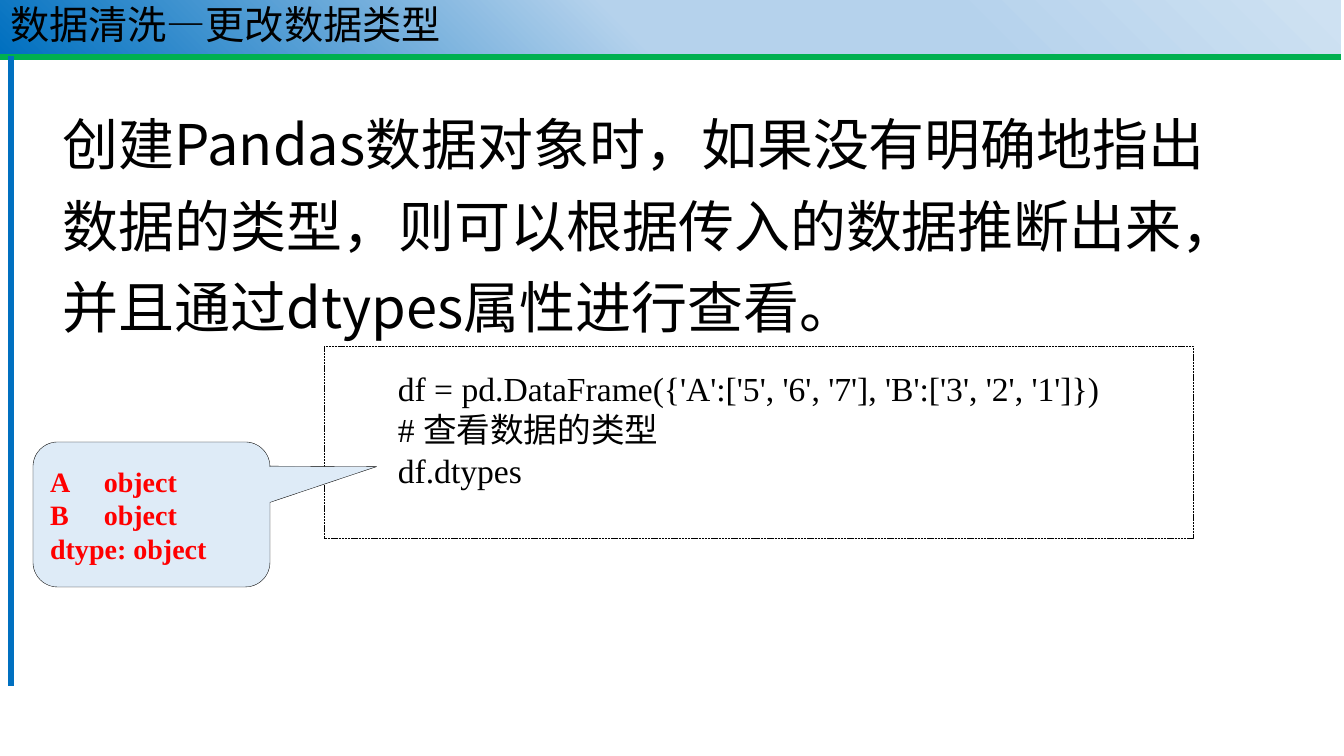
import dataclasses

import lxml.etree
import pptx
import pptx.dml.color
import pptx.enum.dml
import pptx.enum.shapes
import pptx.enum.text
import pptx.oxml
import pptx.oxml.ns
import pptx.util

EMU_PER_PX = 914400 / 100.8
NS = pptx.oxml.ns.nsdecls("a")
SHAPE = pptx.enum.shapes.MSO_SHAPE
ANCHOR = pptx.enum.text.MSO_ANCHOR


@dataclasses.dataclass(frozen=True)
class Theme:
    black: str = "000000"
    red: str = "FF0000"
    green: str = "00B050"
    blue: str = "0070C0"
    callout: str = "DEEBF7"
    banner: tuple = ((1, "CEE1F2"), (29, "B5D2EC"), (53, "B5D2EC"), (100, "0070C0"))
    sans: str = "Noto Sans CJK SC"
    serif: str = "Times New Roman"
    title_size: int = 28
    body_size: int = 40
    code_size: int = 24
    output_size: int = 20


THEME = Theme()


def px(*values):
    return [pptx.util.Emu(round(v * EMU_PER_PX)) for v in values]


def rgb(color):
    return pptx.dml.color.RGBColor.from_string(color)


def write(tf, lines, font, size, color, spacing, bold=False):
    tf.word_wrap = True
    tf.auto_size = pptx.enum.text.MSO_AUTO_SIZE.NONE
    for i, line in enumerate(lines):
        p = tf.paragraphs[0] if i == 0 else tf.add_paragraph()
        r = p.add_run()
        r.text = line
        p.alignment = pptx.enum.text.PP_ALIGN.LEFT
        p.line_spacing = spacing
        p.space_before = pptx.util.Pt(0)
        p.font.name = font
        p.font.size = pptx.util.Pt(size)
        p.font.bold = bold
        p.font.color.rgb = rgb(color)
        ea = lxml.etree.SubElement(r.font._element, pptx.oxml.ns.qn("a:ea"))
        ea.set("typeface", THEME.sans)


def add_rule(s, ends, color, width):
    line = s.shapes.add_connector(pptx.enum.shapes.MSO_CONNECTOR.STRAIGHT, *px(*ends))
    line.line.color.rgb = rgb(color)
    line.line.width = pptx.util.Pt(width)
    line._element.spPr.append(pptx.oxml.parse_xml(f"<a:effectLst {NS}/>"))


def add_title(s, box, text):
    title = s.shapes.title
    title.left, title.top, title.width, title.height = px(*box)
    stops = "".join(
        f'<a:gs pos="{pos * 1000}"><a:srgbClr val="{color}"/></a:gs>'
        for pos, color in THEME.banner
    )
    title._element.spPr.append(pptx.oxml.parse_xml(
        f'<a:gradFill {NS} rotWithShape="1"><a:gsLst>{stops}</a:gsLst>'
        '<a:lin ang="8100000" scaled="0"/></a:gradFill>'
    ))
    title.text_frame.vertical_anchor = ANCHOR.MIDDLE
    write(title.text_frame, [text], THEME.sans, THEME.title_size, THEME.black, 0.9)
    title._element.getparent().append(title._element)


def add_text(s, box, lines, font, size, spacing, margin_top=5):
    tf = s.shapes.add_textbox(*px(*box)).text_frame
    tf.margin_top = px(margin_top)[0]
    write(tf, lines, font, size, THEME.black, pptx.util.Pt(spacing))


def add_outlined(s, kind, box, width, fill=None, dash=None):
    sp = s.shapes.add_shape(kind, *px(*box))
    sp.shadow.inherit = False
    if fill:
        sp.fill.solid()
        sp.fill.fore_color.rgb = rgb(fill)
    else:
        sp.fill.background()
    sp.line.color.rgb = rgb(THEME.black)
    sp.line.width = pptx.util.Pt(width)
    if dash:
        sp.line.dash_style = dash
    return sp


def add_callout(s, box, adjustments, lines):
    sp = add_outlined(s, SHAPE.ROUNDED_RECTANGULAR_CALLOUT, box, 0.25, THEME.callout)
    for i, value in enumerate(adjustments):
        sp.adjustments[i] = value
    sp.text_frame.vertical_anchor = ANCHOR.MIDDLE
    write(sp.text_frame, lines, THEME.serif, THEME.output_size, THEME.red,
          pptx.util.Pt(24), bold=True)


def main():
    prs = pptx.Presentation()
    prs.slide_width, prs.slide_height = px(1344, 756)
    s = prs.slides.add_slide(prs.slide_layouts[5])

    add_rule(s, (0, 56, 1341, 56), THEME.green, 5.25)
    add_rule(s, (11, 56, 11, 686), THEME.blue, 3.75)
    add_title(s, (0, 0, 1341, 54), "数据清洗—更改数据类型")
    add_text(
        s, (53, 86, 1212, 247),
        ["创建Pandas数据对象时，如果没有明确地指出数据的类型，"
         "则可以根据传入的数据推断出来，并且通过dtypes属性进行查看。"],
        THEME.sans, THEME.body_size, 58, margin_top=10,
    )
    add_text(
        s, (388, 363, 769, 132),
        ["df = pd.DataFrame({'A':['5', '6', '7'], 'B':['3', '2', '1']})",
         "# 查看数据的类型",
         "df.dtypes"],
        THEME.serif, THEME.code_size, 29,
    )
    add_outlined(s, SHAPE.RECTANGLE, (324, 346, 869, 192), 0.5,
                 dash=pptx.enum.dml.MSO_LINE.SQUARE_DOT)
    add_callout(s, (33, 442, 237, 145), (0.95, -0.33, 0.17),
                ["A     object", "B     object", "dtype: object"])
    prs.save("out.pptx")


if __name__ == "__main__":
    main()
